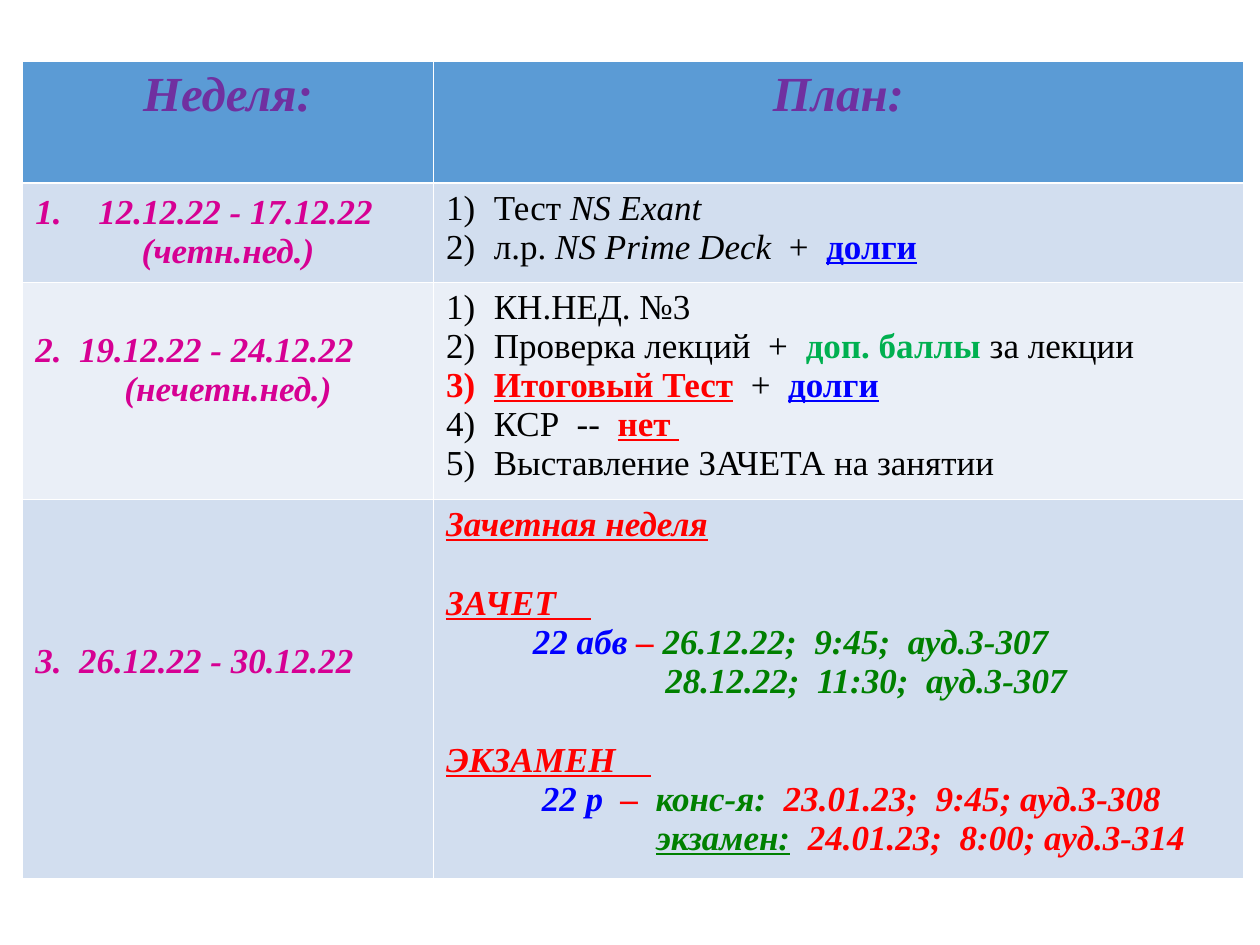
import dataclasses
import typing

import lxml.etree
import pptx
import pptx.dml.color
import pptx.enum.text
import pptx.oxml.ns
import pptx.util

Inches = pptx.util.Inches
Pt = pptx.util.Pt
qn = pptx.oxml.ns.qn
Align = pptx.enum.text.PP_ALIGN
Anchor = pptx.enum.text.MSO_ANCHOR


@dataclasses.dataclass(frozen=True)
class Theme:
    font: str = "Times New Roman"
    head: float = 28
    body: float = 20
    gap: float = 23
    thin: float = 0.45
    thick: float = 1.47
    white: str = "FFFFFF"
    black: str = "000000"
    bar: str = "5B9BD5"
    dark: str = "D2DEEF"
    light: str = "EAEFF7"
    title: str = "7030A0"
    pink: str = "D60093"
    red: str = "FF0000"
    blue: str = "0000FF"
    green: str = "008000"
    lime: str = "00B050"


T = Theme()


@dataclasses.dataclass(frozen=True)
class Span:
    text: str
    color: str = T.black
    style: str = ""


@dataclasses.dataclass(frozen=True)
class Line:
    spans: typing.Sequence[Span]
    center: bool = False
    number: str = ""
    hang: float = 0
    left: float = 0
    space: float = 0
    size: float = T.body


@dataclasses.dataclass(frozen=True)
class Box:
    lines: typing.Sequence[Line]
    middle: bool = False
    foot: float = 0.05


def title(text: str) -> Line:
    return Line([Span(text, T.title, "bi")], center=True, size=T.head)


def week(text: str, **rest: typing.Any) -> Line:
    return Line([Span(text, T.pink, "bi")], **rest)


def item(*spans: Span) -> Line:
    return Line(spans, number="arabicParenR", hang=0.38)


def topic(text: str, space: float = 0) -> Line:
    return Line([Span(text, T.red, "biu")], space=space)


def slot(left: float, *spans: Span) -> Line:
    return Line(spans, left=left)


DEBTS = Span("долги", T.blue, "bu")

ROWS = [
    (Box([title("Неделя:")]), Box([title("План:")])),
    (
        Box([week("12.12.22 - 17.12.22", number="arabicPeriod", hang=0.5),
             week("(четн.нед.)", center=True)], middle=True),
        Box([
            item(Span("Тест "), Span("NS Exant", style="i")),
            item(Span("л.р. "), Span("NS Prime Deck  ", style="i"), Span("+  "), DEBTS),
        ]),
    ),
    (
        Box([week("2.  19.12.22 - 24.12.22"),
             week("(нечетн.нед.)", center=True)], middle=True, foot=0.37),
        Box([
            item(Span("КН.НЕД. №3")),
            item(Span("Проверка лекций  +  "), Span("доп. баллы ", T.lime, "b"),
                 Span("за лекции")),
            item(Span("Итоговый Тест", T.red, "bu"), Span("  +  "), DEBTS),
            item(Span("КСР  --  "), Span("нет ", T.red, "bu")),
            item(Span("Выставление ЗАЧЕТА на занятии")),
        ]),
    ),
    (
        Box([week("3.  26.12.22 - 30.12.22")], middle=True, foot=0.47),
        Box([
            topic("Зачетная неделя"),
            topic("ЗАЧЕТ    ", T.gap),
            slot(0.69, Span("22 абв ", T.blue, "bi"), Span("– ", T.red, "bi"),
                 Span("26.12.22;  9:45;  ауд.3-307", T.green, "bi")),
            slot(1.74, Span("28.12.22;  11:30;  ауд.3-307", T.green, "bi")),
            topic("ЭКЗАМЕН    ", T.gap),
            slot(0.76, Span("22 р  ", T.blue, "bi"), Span("–  ", T.red, "bi"),
                 Span("конс-я:  ", T.green, "bi"),
                 Span("23.01.23;  9:45; ауд.3-308", T.red, "bi")),
            slot(1.67, Span("экзамен:", T.green, "biu"),
                 Span("  24.01.23;  8:00; ауд.3-314", T.red, "bi")),
        ]),
    ),
]
WIDTHS = [3.26, 6.43]
HEIGHTS = [0.96, 0.79, 1.72, 3.01]
FILLS = [T.bar, T.dark, T.light, T.dark]


def rgb(color: str) -> pptx.dml.color.RGBColor:
    return pptx.dml.color.RGBColor.from_string(color)


def write(para: typing.Any, line: Line) -> None:
    para.alignment = Align.CENTER if line.center else Align.LEFT
    para.space_before = Pt(line.space)
    props = para._p.get_or_add_pPr()
    props.set("marL", str(Inches(line.left + line.hang)))
    props.set("indent", str(-Inches(line.hang)))
    if line.number:
        tint = lxml.etree.SubElement(props, qn("a:buClr"))
        lxml.etree.SubElement(tint, qn("a:srgbClr"), val=line.spans[0].color)
        lxml.etree.SubElement(props, qn("a:buAutoNum"), type=line.number)
    for span in line.spans:
        run = para.add_run()
        run.text = span.text
        font = run.font
        font.name, font.size = T.font, Pt(line.size)
        font.color.rgb = rgb(span.color)
        font.bold = "b" in span.style
        font.italic = "i" in span.style
        font.underline = "u" in span.style


def edge(cell: typing.Any, top: float, base: float) -> None:
    props = cell._tc.get_or_add_tcPr()
    sides = {"a:lnL": T.thin, "a:lnR": T.thin, "a:lnT": top, "a:lnB": base}
    for spot, (tag, width) in enumerate(sides.items()):
        rule = lxml.etree.Element(qn(tag), w=str(Pt(width)))
        fill = lxml.etree.SubElement(rule, qn("a:solidFill"))
        lxml.etree.SubElement(fill, qn("a:srgbClr"), val=T.white)
        props.insert(spot, rule)


def draw(cell: typing.Any, box: Box, fill: str) -> None:
    cell.fill.solid()
    cell.fill.fore_color.rgb = rgb(fill)
    cell.margin_left = cell.margin_right = Inches(0.1)
    cell.margin_top, cell.margin_bottom = Inches(0.05), Inches(box.foot)
    cell.vertical_anchor = Anchor.MIDDLE if box.middle else Anchor.TOP
    frame = cell.text_frame
    for spot, line in enumerate(box.lines):
        write(frame.add_paragraph() if spot else frame.paragraphs[0], line)


deck = pptx.Presentation()
deck.slide_width, deck.slide_height = Inches(10), Inches(7.5)
slide = deck.slides.add_slide(deck.slide_layouts[6])
table = slide.shapes.add_table(
    len(ROWS), len(WIDTHS), Inches(0.18), Inches(0.49),
    Inches(sum(WIDTHS)), Inches(sum(HEIGHTS))).table
for col, width in zip(table.columns, WIDTHS):
    col.width = Inches(width)
for at, (row, height, fill) in enumerate(zip(ROWS, HEIGHTS, FILLS)):
    table.rows[at].height = Inches(height)
    for cell, box in zip(table.rows[at].cells, row):
        draw(cell, box, fill)
        edge(cell, T.thick if at == 1 else T.thin, T.thick if at == 0 else T.thin)
deck.save("out.pptx")
